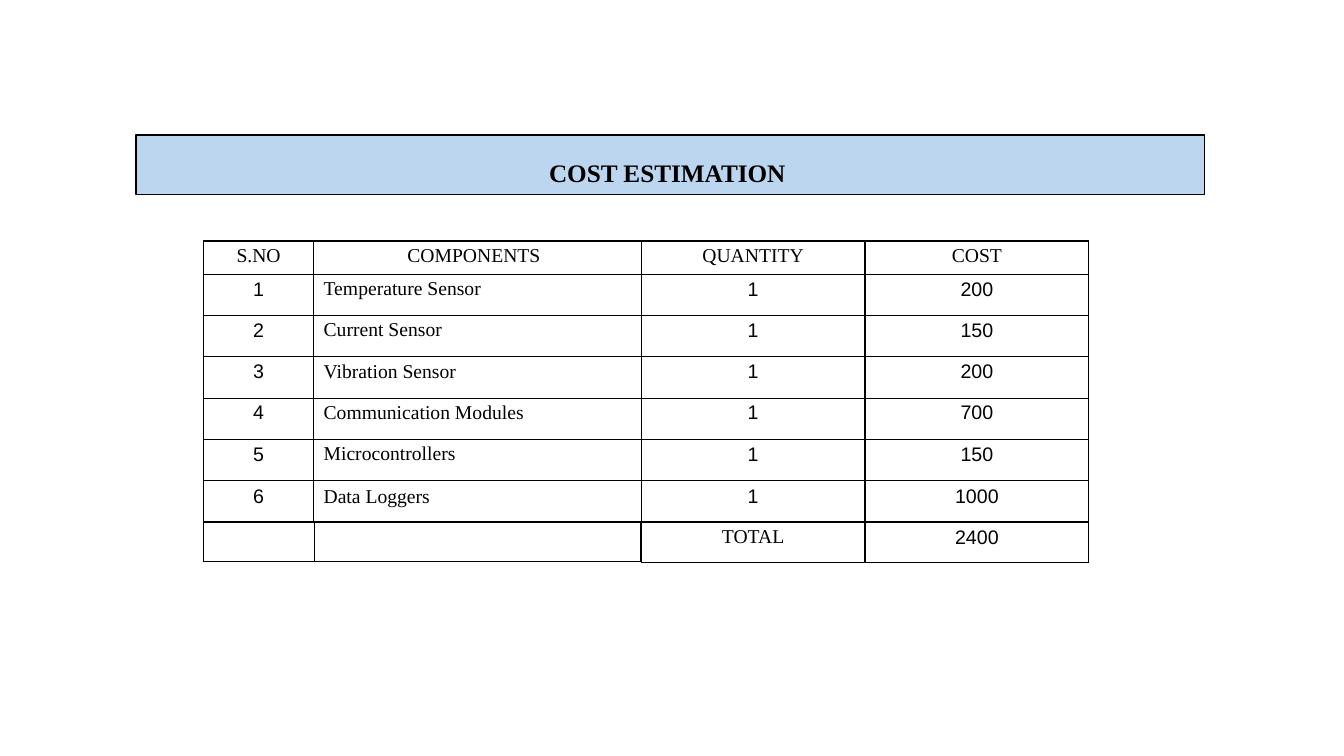
from lxml.etree import SubElement
from pptx import Presentation
from pptx.dml.color import RGBColor
from pptx.enum.shapes import MSO_SHAPE
from pptx.enum.text import MSO_ANCHOR, PP_ALIGN
from pptx.oxml.ns import qn
from pptx.util import Inches, Pt

BLACK = RGBColor(0x00, 0x00, 0x00)
BANNER_BLUE = RGBColor(0xBB, 0xD6, 0xEE)
SERIF = "Times New Roman"
SANS = "Arial"

HEADINGS = ["S.NO", "COMPONENTS", "QUANTITY", "COST"]
COMPONENTS = [
    ("Temperature Sensor", 1, 200),
    ("Current Sensor", 1, 150),
    ("Vibration Sensor", 1, 200),
    ("Communication Modules", 1, 700),
    ("Microcontrollers", 1, 150),
    ("Data Loggers", 1, 1000),
]


def add_borders(cell):
    """Draw a thin black line on all four sides of a cell."""
    properties = cell._tc.get_or_add_tcPr()
    for position, side in enumerate(("lnL", "lnR", "lnT", "lnB")):
        line = properties.makeelement(qn(f"a:{side}"), {"w": str(Pt(1))})
        fill = SubElement(line, qn("a:solidFill"))
        SubElement(fill, qn("a:srgbClr"), val=str(BLACK))
        properties.insert(position, line)


def format_cell(cell, text, indent, top_margin):
    """Write a cell, centred unless it has a left indent in inches."""
    cell.fill.background()
    add_borders(cell)
    cell.margin_left = cell.margin_right = cell.margin_bottom = 0
    cell.margin_top = Inches(top_margin)
    cell.vertical_anchor = MSO_ANCHOR.TOP
    cell.text_frame.text = text
    paragraph = cell.text_frame.paragraphs[0]
    paragraph.space_before = Pt(3.2)
    paragraph.font.size = Pt(14)
    if indent:
        paragraph._p.get_or_add_pPr().set("marL", str(Inches(indent)))
    else:
        paragraph.alignment = PP_ALIGN.CENTER
    for run in paragraph.runs:
        run.font.name = SANS if text.isdigit() else SERIF
        run.font.size = Pt(14)
        run.font.bold = False
        run.font.color.rgb = BLACK


def add_grid(slide, left, top, widths, heights, rows, indents=None):
    """Add a bordered table; indents maps (row, column) to inches."""
    indents = indents or {}
    table = slide.shapes.add_table(
        len(rows), len(widths), Inches(left), Inches(top),
        Inches(sum(widths)), Inches(sum(heights))).table
    table.first_row = table.horz_banding = False
    for column, width in zip(table.columns, widths):
        column.width = Inches(width)
    for row_index, (values, height) in enumerate(zip(rows, heights)):
        table.rows[row_index].height = Inches(height)
        top_margin = 0.05 if row_index == len(rows) - 1 else 0.04
        for column_index, value in enumerate(values):
            format_cell(table.cell(row_index, column_index), str(value),
                        indents.get((row_index, column_index)), top_margin)


def add_banner(slide, left, top, width, height):
    """Add the blue title bar."""
    banner = slide.shapes.add_shape(
        MSO_SHAPE.RECTANGLE, Inches(left), Inches(top), Inches(width), Inches(height))
    banner.shadow.inherit = False
    banner.fill.solid()
    banner.fill.fore_color.rgb = BANNER_BLUE
    banner.line.color.rgb = BLACK
    banner.line.width = Pt(1)
    text_frame = banner.text_frame
    text_frame.vertical_anchor = MSO_ANCHOR.MIDDLE
    text_frame.text = "COST ESTIMATION "
    paragraph = text_frame.paragraphs[0]
    paragraph.alignment = PP_ALIGN.CENTER
    paragraph.line_spacing = 1.5
    font = paragraph.runs[0].font
    font.name = SERIF
    font.size = Pt(18)
    font.bold = True
    font.color.rgb = BLACK


def add_cost_table(slide, left, top):
    """Add the component list with its total row below."""
    widths = [1.09, 3.25, 2.22, 2.22]
    heights = [0.33] + [0.41] * len(COMPONENTS)
    rows = [HEADINGS] + [(number, *item) for number, item in enumerate(COMPONENTS, 1)]
    indents = {(row, 1): 0.1 for row in range(1, len(rows))}
    indents[0, 1] = 0.93
    add_grid(slide, left, top, widths, heights, rows, indents)

    total_top = top + sum(heights) - 0.01
    total = sum(cost for _, _, cost in COMPONENTS)
    add_grid(slide, left + sum(widths[:2]), total_top, widths[2:], [0.41], [("TOTAL", total)])
    add_grid(slide, left, total_top, [1.1, 3.23], [0.4], [("", "")])


def main():
    """Build and save the cost estimation slide."""
    presentation = Presentation()
    presentation.slide_width = Inches(13.33)
    presentation.slide_height = Inches(7.5)
    slide = presentation.slides.add_slide(presentation.slide_layouts[6])
    add_banner(slide, 1.35, 1.34, 10.6, 0.59)
    add_cost_table(slide, 2.02, 2.39)
    presentation.save("out.pptx")


if __name__ == "__main__":
    main()
